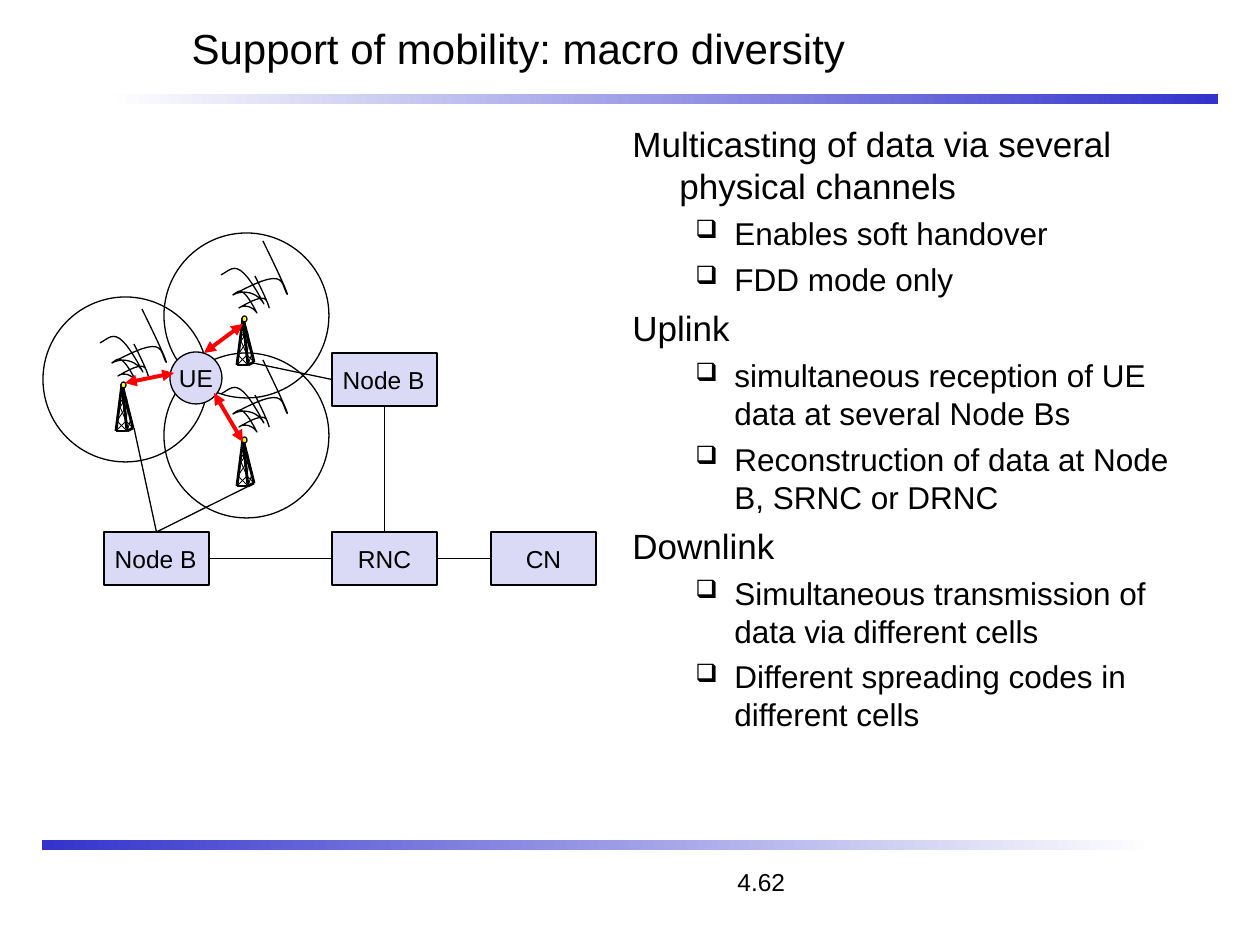
import lxml.etree
import pptx
import pptx.dml.color
import pptx.enum.shapes
import pptx.enum.text
import pptx.oxml.ns
import pptx.util

PX = 914400 / 126
LILAC, BLUE, BLACK, RED = "DADAF6", "3333CC", "000000", "FF0000"
STRAIGHT = pptx.enum.shapes.MSO_CONNECTOR.STRAIGHT
SHAPE = pptx.enum.shapes.MSO_SHAPE
ALIGN = pptx.enum.text.PP_ALIGN
ANCHOR = pptx.enum.text.MSO_ANCHOR
color = pptx.dml.color.RGBColor.from_string
qn = pptx.oxml.ns.qn


def px(*lengths):
    return [pptx.util.Emu(round(length * PX)) for length in lengths]


def draw_line(shapes, start, end, width=0.75, ink=BLACK):
    line = shapes.add_connector(STRAIGHT, *px(*start, *end))
    line.line.width = pptx.util.Pt(width)
    line.line.color.rgb = color(ink)
    lxml.etree.SubElement(line._element.spPr, qn("a:effectLst"))
    return line


deck = pptx.Presentation()
deck.slide_width, deck.slide_height = px(1260, 945)
page = deck.slides.add_slide(deck.slide_layouts[5])

# Gradient rules
for left, top, colors in ((105, 94, ("FFFFFF", BLUE)), (42, 840, (BLUE, "FFFFFF"))):
    rule = page.shapes.add_shape(SHAPE.RECTANGLE, *px(left, top, 1113, 10))
    rule.shadow.inherit = False
    rule.line.fill.background()
    rule.fill.gradient()
    rule.fill.gradient_angle = 0
    for stop, ink in zip(rule.fill.gradient_stops, colors):
        stop.color.rgb = color(ink)

# Title and page number
title = page.shapes.title
title.left, title.top, title.width, title.height = px(179, 0, 1061, 95)
title.text_frame.vertical_anchor = ANCHOR.MIDDLE
para = title.text_frame.paragraphs[0]
para.alignment = ALIGN.LEFT
span = para.add_run()
span.text = "Support of mobility: macro diversity"
span.font.size = pptx.util.Pt(24)

number = page.shapes.add_textbox(*px(42, 861, 1103, 42))
number.text_frame.word_wrap = True
para = number.text_frame.paragraphs[0]
tabs = lxml.etree.SubElement(para._p.get_or_add_pPr(), qn("a:tabLst"))
lxml.etree.SubElement(tabs, qn("a:tab"), pos=str(px(683)[0]), algn="l")
span = para.add_run()
span.text = "\t4.62"
span.font.size = pptx.util.Pt(14)

# Text column
outline = [
    (0, "Multicasting of data via several physical channels"),
    (1, "Enables soft handover"),
    (1, "FDD mode only"),
    (0, "Uplink"),
    (1, "simultaneous reception of UE data at several Node Bs"),
    (1, "Reconstruction of data at Node B, SRNC or DRNC"),
    (0, "Downlink"),
    (1, "Simultaneous transmission of data via different cells"),
    (1, "Different spreading codes in different cells"),
]
body = page.shapes.add_textbox(*px(620, 116, 597, 714))
body.text_frame.word_wrap = True
for index, (level, text) in enumerate(outline):
    para = body.text_frame.paragraphs[0] if index == 0 else body.text_frame.add_paragraph()
    para.level = level
    margin, indent = px(102, -39) if level else px(47, -47)
    properties = para._p.get_or_add_pPr()
    properties.set("marL", str(margin))
    properties.set("indent", str(indent))
    if level:
        bullet_color = lxml.etree.SubElement(properties, qn("a:buClr"))
        lxml.etree.SubElement(bullet_color, qn("a:srgbClr"), val=BLACK)
        lxml.etree.SubElement(properties, qn("a:buSzPct"), val="80000")
        lxml.etree.SubElement(properties, qn("a:buChar"), char="❑")
    if index:
        para.space_before = pptx.util.Pt(4.5 if level else 5)
    span = para.add_run()
    span.text = text
    span.font.size = pptx.util.Pt(18 if level else 20)

# Network nodes and their links
nodes = []
for text, left, top, alignment in (
    ("CN", 491, 532, ALIGN.CENTER),
    ("Node B", 104, 532, ALIGN.RIGHT),
    ("RNC", 332, 532, ALIGN.CENTER),
    ("Node B", 332, 353, ALIGN.RIGHT),
):
    box = page.shapes.add_shape(SHAPE.RECTANGLE, *px(left, top, 105, 53))
    nodes.append((box, text, alignment))
core, lower_node, controller, upper_node = [node[0] for node in nodes]

for start, start_side, end, end_side in (
    (controller, 1, lower_node, 3),
    (controller, 3, core, 1),
    (upper_node, 2, controller, 0),
):
    link = draw_line(page.shapes, (0, 0), (0, 0))
    link.begin_connect(start, start_side)
    link.end_connect(end, end_side)
for node, side, mast_foot in (
    (lower_node, 0, (253, 484)),
    (lower_node, 0, (134, 428)),
    (upper_node, 1, (253, 363)),
):
    draw_line(page.shapes, (0, 0), mast_foot).begin_connect(node, side)

# Radio cells
for left, top in ((43, 297), (164, 233), (164, 353)):
    cell = page.shapes.add_shape(SHAPE.OVAL, *px(left, top, 165, 165))
    cell.shadow.inherit = False
    cell.fill.background()
    cell.line.color.rgb = color(BLACK)
    cell.line.width = pptx.util.Pt(0.75)

# Antenna masts: braces and legs as offsets from the lamp's corner
joints = {
    "a": (0, 18), "b": (4, 18), "c": (-1, 25), "d": (5, 39), "e": (-5, 49),
    "f": (-4, 39), "g": (6, 49), "h": (5, 25), "i": (10, 37), "j": (6, 17),
    "k": (7, 24), "m": (12, 46), "t": (1, 2),
}
braces = "ab cb cd ed fg fh ah gi hi hj bj bk dk dm".split()
legs = "et tg gm tm eg".split()
masts = ((242, 316), (121, 382), (242, 437))
for x, y in masts:
    mast = page.shapes.add_group_shape()
    for strut in braces + legs:
        start, end = [(x + joints[name][0], y + joints[name][1]) for name in strut]
        draw_line(mast.shapes, start, end, 1.62 if strut in legs else 0.5)
    lamp = mast.shapes.add_shape(SHAPE.OVAL, *px(x, y, 5, 6))
    lamp.shadow.inherit = False
    lamp.fill.solid()
    lamp.fill.fore_color.rgb = color("FFFF00")
    lamp.line.color.rgb = color(BLACK)
    lamp.line.width = pptx.util.Pt(0.75)

# Radio waves: a start point, then three Bézier points for each curve
waves = (
    [(0, 0), (29, 59), (25, 56), (23, 51), (18, 40), (21, 26), (-30, 54),
     (-19, 48), (-5, 52), (1, 63), (-25, 14), (-30, 28), (-42, 34)],
    [(-8, 35), (9, 69), (6, 68), (6, 66), (3, 59), (5, 50), (-24, 67),
     (-18, 63), (-10, 66), (-6, 72), (-21, 43), (-24, 50), (-30, 54)],
)
STEPS = 12
for x, y in ((263, 360), (263, 241), (142, 309)):
    signal = page.shapes.add_group_shape()
    for wave in waves:
        points = []
        for first in range(0, len(wave) - 1, 3):
            curve = wave[first:first + 4]
            for step in range(1, STEPS + 1):
                t = step / STEPS
                weights = ((1 - t) ** 3, 3 * t * (1 - t) ** 2, 3 * t * t * (1 - t), t ** 3)
                dx, dy = [sum(w * point[axis] for w, point in zip(weights, curve)) for axis in (0, 1)]
                points.append(px(x + dx, y + dy))
        builder = signal.shapes.build_freeform(*px(x + wave[0][0], y + wave[0][1]))
        builder.add_line_segments(points, close=False)
        ripple = builder.convert_to_shape()
        ripple.shadow.inherit = False
        ripple.fill.background()
        ripple.line.color.rgb = color(BLACK)
        ripple.line.width = pptx.util.Pt(0.75)

# User equipment, node labels and radio links
user = page.shapes.add_shape(SHAPE.OVAL, *px(170, 352, 52, 52))
for box, text, alignment in nodes + [(user, "UE", ALIGN.CENTER)]:
    box.shadow.inherit = False
    box.fill.solid()
    box.fill.fore_color.rgb = color(LILAC)
    box.line.color.rgb = color(BLACK)
    box.line.width = pptx.util.Pt(0.75)
    box.text_frame.word_wrap = False
    box.text_frame.vertical_anchor = ANCHOR.MIDDLE
    para = box.text_frame.paragraphs[0]
    para.alignment = alignment
    span = para.add_run()
    span.text = text
    span.font.size = pptx.util.Pt(14)

for start, end in (((125, 383), (174, 373)), ((243, 442), (214, 393)), ((243, 324), (204, 353))):
    arrow = draw_line(page.shapes, start, end, 2.25, RED)
    for tip in ("a:headEnd", "a:tailEnd"):
        lxml.etree.SubElement(arrow.line._get_or_add_ln(), qn(tip), type="triangle")

for shape in page.shapes:
    if shape.has_text_frame:
        for para in shape.text_frame.paragraphs:
            for span in para.runs:
                span.font.name = "Arial"
                span.font.color.rgb = color(BLACK)

deck.save("out.pptx")
